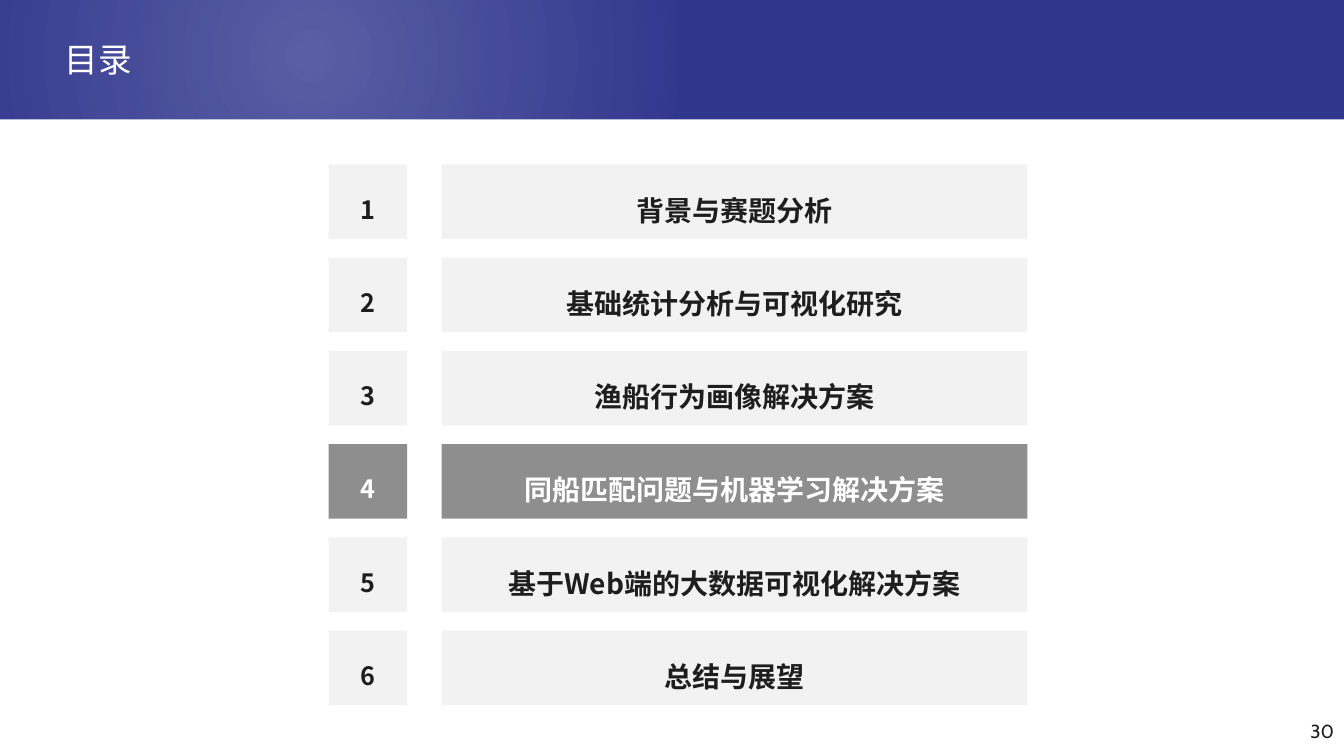
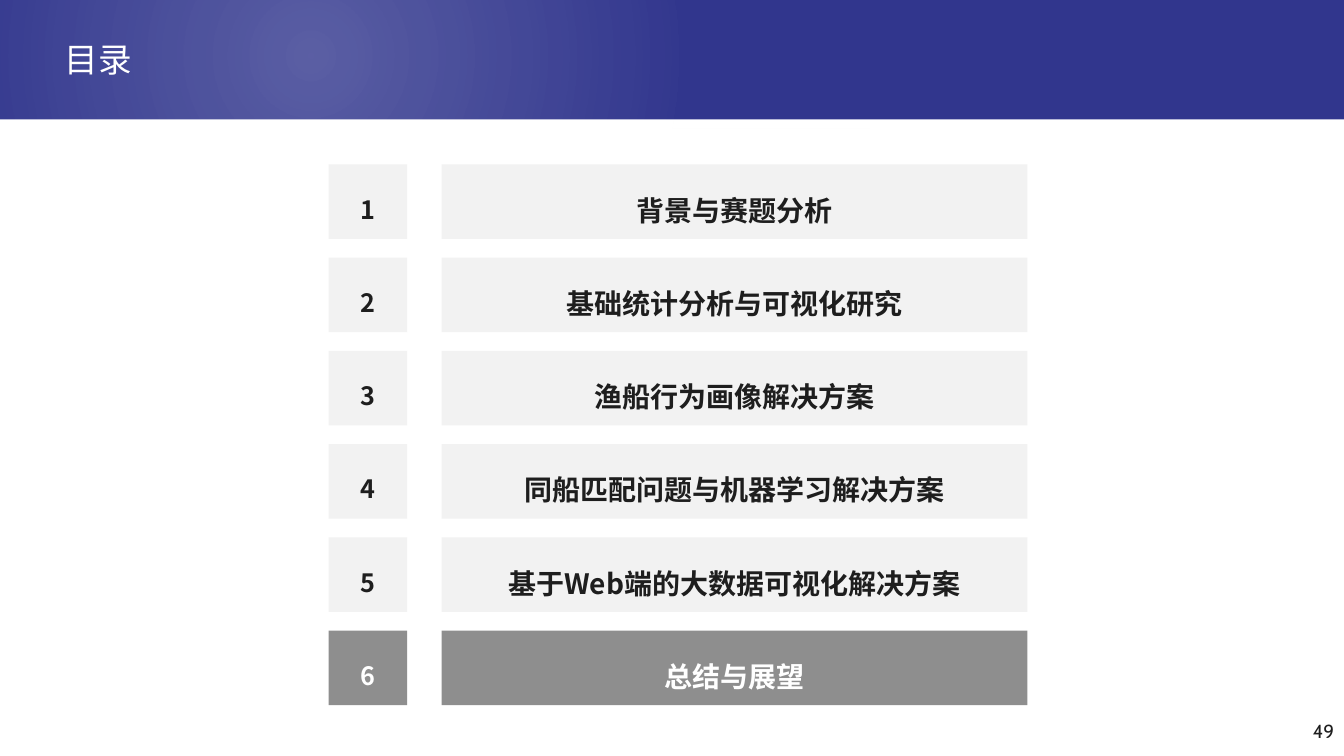
from lxml.etree import SubElement
from pptx import Presentation
from pptx.dml.color import RGBColor
from pptx.enum.shapes import MSO_SHAPE
from pptx.enum.text import MSO_ANCHOR, MSO_AUTO_SIZE, PP_ALIGN
from pptx.oxml import parse_xml
from pptx.oxml.ns import nsdecls, qn
from pptx.util import Cm, Pt

# Content
TITLE = "目录"
SECTIONS = [
    "背景与赛题分析",
    "基础统计分析与可视化研究",
    "渔船行为画像解决方案",
    "同船匹配问题与机器学习解决方案",
    "基于Web端的大数据可视化解决方案",
    "总结与展望",
]
AGENDAS = [  # current section, page number
    (4, "30"),
    (6, "49"),
]

# Style
COLORS = {
    "band": "31368D",
    "white": "FFFFFF",
    "ink": "1E1E1E",
    "row": "F2F2F2",
    "current": "8E8E8E",
}
TITLE_FONT, BODY_FONT, PAGE_FONT = "Arial", "Noto Sans CJK SC", "Cabin"
SLIDE_W, SLIDE_H = 33.87, 19.05

# Agenda grid, in cm
ROW_TOP, ROW_STEP, ROW_H = 4.14, 2.35, 1.88
NUMBER_X, NUMBER_W = 8.28, 1.98
BAR_X, BAR_W = 11.13, 14.76

GLOW_FILL = f"""<a:gradFill {nsdecls("a")} rotWithShape="1">
  <a:gsLst>
    <a:gs pos="0"><a:srgbClr val="{COLORS['white']}"><a:alpha val="20000"/></a:srgbClr></a:gs>
    <a:gs pos="66000"><a:srgbClr val="{COLORS['white']}"><a:alpha val="0"/></a:srgbClr></a:gs>
  </a:gsLst>
  <a:path path="circle"><a:fillToRect l="50000" t="50000" r="50000" b="50000"/></a:path>
</a:gradFill>"""


def add_box(s, x, y, w, h, fill=None):
    sp = s.shapes.add_shape(MSO_SHAPE.RECTANGLE, Cm(x), Cm(y), Cm(w), Cm(h))
    sp.shadow.inherit = False
    sp.line.fill.background()
    if fill:
        sp.fill.solid()
        sp.fill.fore_color.rgb = RGBColor.from_string(COLORS[fill])
    else:
        sp.fill.background()
    return sp


def add_run(p, text, size, font, color, bold=False):
    r = p.add_run()
    r.text = text
    r.font.size = Pt(size)
    r.font.name = font
    r.font.bold = bold
    r.font.color.rgb = RGBColor.from_string(COLORS[color])
    return r


def add_header(s, layout):
    """Draw the header band and its glow, then place them in the layout."""
    band = add_box(s, 0, 0, SLIDE_W, 3.01, "band")
    glow = add_box(s, -6.27, -0.43, 28.19, 3.66)
    no_fill = glow.element.spPr.find(qn("a:noFill"))
    glow.element.spPr.replace(no_fill, parse_xml(GLOW_FILL))
    for i, sp in enumerate((band, glow)):
        layout.shapes.element.insert(2 + i, sp.element)


def add_title(s):
    title = s.shapes.title
    title.left, title.top = Cm(1.37), Cm(0.97)
    title.width, title.height = Cm(31.29), Cm(1.17)
    tf = title.text_frame
    tf.auto_size = MSO_AUTO_SIZE.SHAPE_TO_FIT_TEXT
    tf.vertical_anchor = MSO_ANCHOR.MIDDLE
    p = tf.paragraphs[0]
    p.alignment = PP_ALIGN.LEFT
    p.line_spacing = 0.9
    add_run(p, TITLE, 24, TITLE_FONT, "white")


def add_cell(s, x, y, w, text, size, is_current):
    sp = add_box(s, x, y, w, ROW_H, "current" if is_current else "row")
    tf = sp.text_frame
    tf.word_wrap = True
    tf.margin_left = tf.margin_right = 0
    tf.vertical_anchor = MSO_ANCHOR.MIDDLE
    p = tf.paragraphs[0]
    p.alignment = PP_ALIGN.CENTER
    p.line_spacing = 1.5
    r = add_run(p, text, size, BODY_FONT, "white" if is_current else "ink", bold=True)
    SubElement(r.font._element, qn("a:ea"), typeface=BODY_FONT)


def add_agenda(s, current):
    for i, section in enumerate(SECTIONS):
        y = ROW_TOP + i * ROW_STEP
        is_current = i + 1 == current
        add_cell(s, NUMBER_X, y, NUMBER_W, str(i + 1), 18, is_current)
        add_cell(s, BAR_X, y, BAR_W, section, 20, is_current)


def add_page_number(s, number):
    tf = s.shapes.add_textbox(Cm(28.62), Cm(18.01), Cm(5.25), Cm(1.02)).text_frame
    tf.word_wrap = True
    p = tf.paragraphs[0]
    p.alignment = PP_ALIGN.RIGHT
    add_run(p, number, 13.5, PAGE_FONT, "ink")


def main():
    prs = Presentation()
    prs.slide_width, prs.slide_height = Cm(SLIDE_W), Cm(SLIDE_H)
    layout = prs.slide_layouts.get_by_name("Title Only")
    for i, (current, number) in enumerate(AGENDAS):
        s = prs.slides.add_slide(layout)
        if i == 0:
            add_header(s, layout)
        add_title(s)
        add_agenda(s, current)
        add_page_number(s, number)
    prs.save("out.pptx")


if __name__ == "__main__":
    main()
